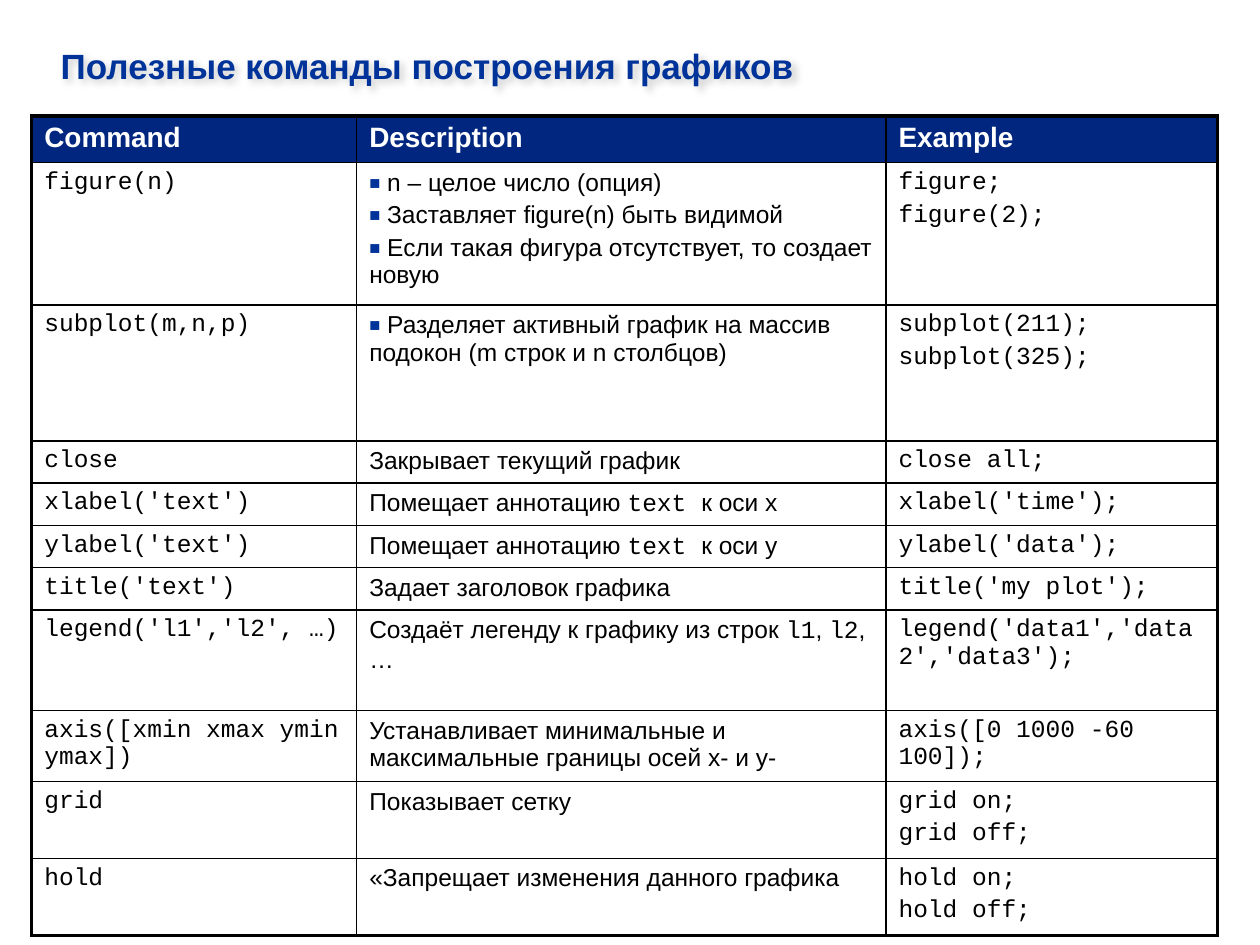
from dataclasses import dataclass

from lxml.etree import SubElement
from pptx import Presentation
from pptx.dml.color import RGBColor
from pptx.enum.text import MSO_ANCHOR, PP_ALIGN
from pptx.oxml.ns import qn
from pptx.util import Cm, Pt


@dataclass(frozen=True)
class Theme:
    title_color: str = "003399"
    header_fill: str = "00267F"
    header_text: str = "FFFFFF"
    cell_fill: str = "FFFFFF"
    ink: str = "000000"
    text_font: str = "Arial"
    code_font: str = "Courier New"
    title_size: float = 20
    header_size: float = 16
    cell_size: float = 14
    paragraph_gap: float = 2.8
    outer_line: float = 2.25
    inner_line: float = 1


@dataclass(frozen=True)
class Command:
    """One table row; backticks in the description mark code."""
    syntax: str
    description: tuple[str, ...]
    example: tuple[str, ...]
    height: float
    bulleted: bool = False


THEME = Theme()
HEADERS = ("Command", "Description", "Example")
HEADER_HEIGHT = 0.94
COLUMN_WIDTHS = (6.55, 10.67, 6.68)
ONE_LINE, TWO_LINES, TWO_PARAGRAPHS = 0.85, 1.43, 1.55
COMMANDS = (
    Command("figure(n)",
            ("n – целое число (опция)",
             "Заставляет figure(n) быть видимой",
             "Если такая фигура отсутствует, то создает новую"),
            ("figure;", "figure(2);"), 2.87, bulleted=True),
    Command("subplot(m,n,p)",
            ("Разделяет активный график на массив подокон (m строк и n столбцов)",),
            ("subplot(211);", "subplot(325);"), 2.74, bulleted=True),
    Command("close", ("Закрывает текущий график",), ("close all;",), ONE_LINE),
    Command("xlabel('text')", ("Помещает аннотацию `text `к оси x",),
            ("xlabel('time');",), ONE_LINE),
    Command("ylabel('text')", ("Помещает аннотацию `text `к оси y",),
            ("ylabel('data');",), ONE_LINE),
    Command("title('text')", ("Задает заголовок графика",),
            ("title('my plot');",), ONE_LINE),
    Command("legend('l1','l2', …)",
            ("Создаёт легенду к графику из строк `l1`, `l2`, …",),
            ("legend('data1','data2','data3');",), 2.03),
    Command("axis([xmin xmax ymin ymax])",
            ("Устанавливает минимальные и максимальные границы осей x- и y-",),
            ("axis([0 1000 -60 100]);",), TWO_LINES),
    Command("grid", ("Показывает сетку",), ("grid on;", "grid off;"), TWO_PARAGRAPHS),
    Command("hold", ("«Запрещает изменения данного графика",),
            ("hold on;", "hold off;"), TWO_PARAGRAPHS),
)


def style_font(font, name: str, size: float, color: str, bold: bool = False) -> None:
    font.name = name
    font.size = Pt(size)
    font.bold = bold
    font.color.rgb = RGBColor.from_string(color)


def add_bullet(paragraph) -> None:
    properties = paragraph._p.get_or_add_pPr()
    properties.set("marL", "0")
    properties.set("indent", "0")
    color = SubElement(properties, qn("a:buClr"))
    SubElement(color, qn("a:srgbClr"), val=THEME.title_color)
    SubElement(properties, qn("a:buSzPct"), val="75000")
    SubElement(properties, qn("a:buFont"), typeface=THEME.text_font)
    SubElement(properties, qn("a:buChar"), char="■")


def set_borders(cell, widths: dict[str, float]) -> None:
    properties = cell._tc.get_or_add_tcPr()
    for side, width in widths.items():
        line = SubElement(properties, qn(f"a:ln{side}"), w=str(Pt(width)))
        fill = SubElement(line, qn("a:solidFill"))
        SubElement(fill, qn("a:srgbClr"), val=THEME.ink)


def fill_cell(cell, color: str) -> None:
    cell.fill.solid()
    cell.fill.fore_color.rgb = RGBColor.from_string(color)


def write_cell(cell, lines: tuple[str, ...], font_name: str, bulleted: bool = False) -> None:
    frame = cell.text_frame
    for index, line in enumerate(lines):
        paragraph = frame.add_paragraph() if index else frame.paragraphs[0]
        if index:
            paragraph.space_before = Pt(THEME.paragraph_gap)
        if bulleted:
            add_bullet(paragraph)
        style_font(paragraph.font, font_name, THEME.cell_size, THEME.ink)
        pieces = (f" {line}" if bulleted else line).split("`")
        for position, piece in enumerate(pieces):
            run = paragraph.add_run()
            run.text = piece
            if position % 2:
                run.font.name = THEME.code_font


def add_title(slide, text: str) -> None:
    title = slide.shapes.title
    title.left, title.top, title.width, title.height = Cm(0.97), Cm(0.76), Cm(23.14), Cm(2.54)
    title.text_frame.text = text
    title.text_frame.vertical_anchor = MSO_ANCHOR.TOP
    paragraph = title.text_frame.paragraphs[0]
    paragraph.alignment = PP_ALIGN.LEFT
    style_font(paragraph.font, THEME.text_font, THEME.title_size, THEME.title_color, bold=True)
    effects = SubElement(title._element.spPr, qn("a:effectLst"))
    shadow = SubElement(effects, qn("a:outerShdw"), blurRad=str(Pt(4)), dist=str(Pt(3)),
                        dir="2700000", algn="tl", rotWithShape="0")
    color = SubElement(shadow, qn("a:srgbClr"), val=THEME.ink)
    SubElement(color, qn("a:alpha"), val="20000")


def add_command_table(slide) -> None:
    heights = [HEADER_HEIGHT] + [command.height for command in COMMANDS]
    table = slide.shapes.add_table(
        len(heights), len(HEADERS), Cm(0.64), Cm(2.34),
        Cm(sum(COLUMN_WIDTHS)), Cm(sum(heights))).table
    table.first_row = table.horz_banding = False
    for column, width in zip(table.columns, COLUMN_WIDTHS):
        column.width = Cm(width)
    for row, height in zip(table.rows, heights):
        row.height = Cm(height)

    last_row, last_column = len(heights) - 1, len(HEADERS) - 1
    for row_index, row in enumerate(table.rows):
        for column_index, cell in enumerate(row.cells):
            on_edge = {"L": column_index == 0, "R": column_index == last_column,
                       "T": row_index == 0, "B": row_index == last_row}
            set_borders(cell, {side: THEME.outer_line if outer else THEME.inner_line
                               for side, outer in on_edge.items()})
            fill_cell(cell, THEME.cell_fill if row_index else THEME.header_fill)

    for column_index, header in enumerate(HEADERS):
        cell = table.cell(0, column_index)
        cell.text = header
        style_font(cell.text_frame.paragraphs[0].font, THEME.text_font,
                   THEME.header_size, THEME.header_text, bold=True)
    for row_index, command in enumerate(COMMANDS, start=1):
        syntax, description, example = table.rows[row_index].cells
        write_cell(syntax, (command.syntax,), THEME.code_font)
        write_cell(description, command.description, THEME.text_font, command.bulleted)
        write_cell(example, command.example, THEME.code_font)


def main() -> None:
    presentation = Presentation()
    presentation.slide_width, presentation.slide_height = Cm(25.4), Cm(19.05)
    title_only = presentation.slide_layouts[5]
    slide = presentation.slides.add_slide(title_only)
    add_title(slide, "Полезные команды построения графиков")
    add_command_table(slide)
    presentation.save("out.pptx")


if __name__ == "__main__":
    main()
